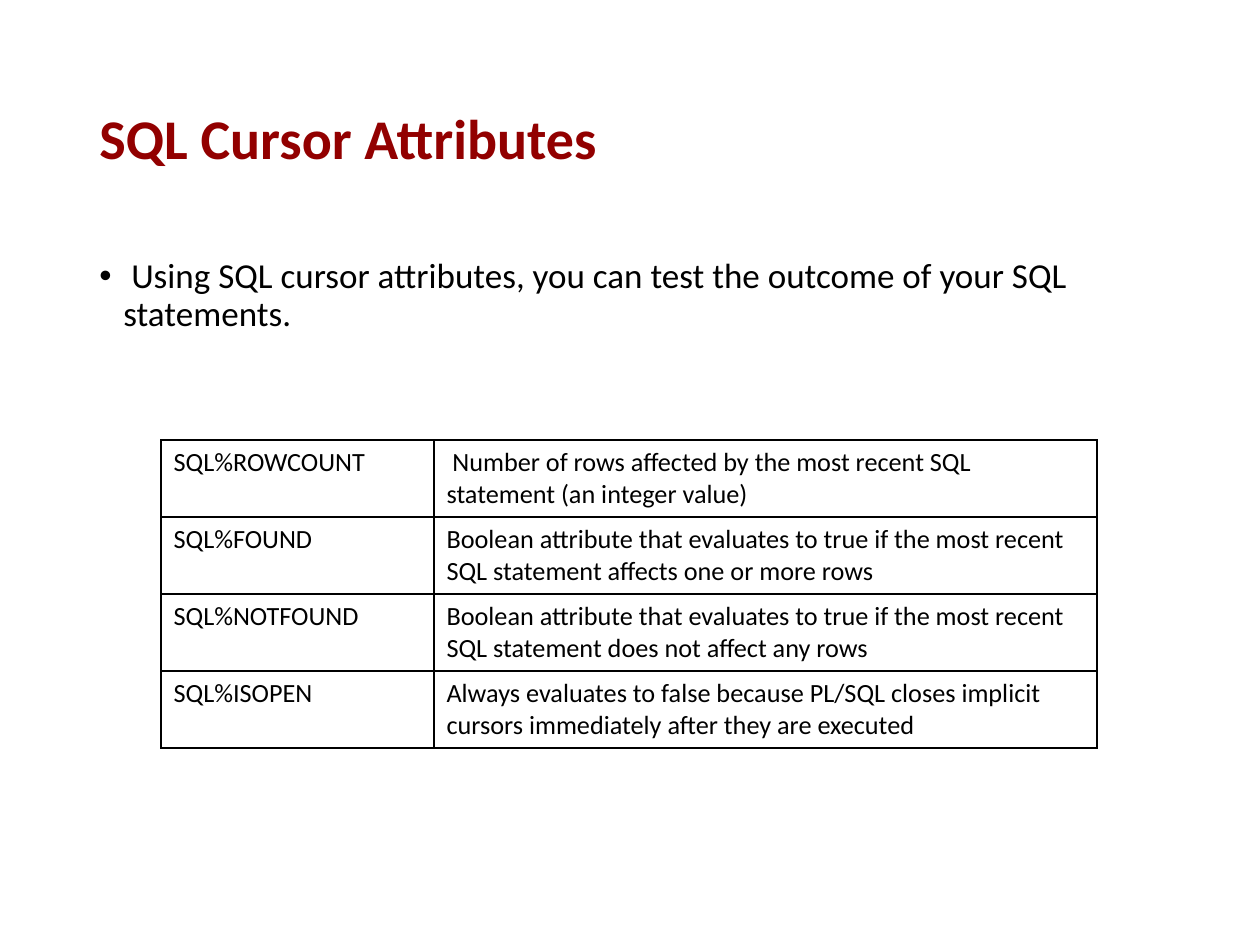
import dataclasses

import pptx
import pptx.dml.color
import pptx.enum.text
import pptx.oxml
import pptx.oxml.ns
import pptx.util

EMU_PER_PX = 914400 // 126


@dataclasses.dataclass(frozen=True)
class Theme:
    font: str = "Calibri"
    heading: str = "920000"
    ink: str = "000000"
    title_size: int = 32
    body_size: int = 20
    table_size: int = 15
    line_spacing: float = 0.9
    border_width: int = 1


THEME = Theme()

ATTRIBUTES = [
    ("SQL%ROWCOUNT",
     " Number of rows affected by the most recent SQL statement (an integer value)"),
    ("SQL%FOUND",
     "Boolean attribute that evaluates to true if the most recent SQL statement "
     "affects one or more rows"),
    ("SQL%NOTFOUND",
     "Boolean attribute that evaluates to true if the most recent SQL statement "
     "does not affect any rows"),
    ("SQL%ISOPEN",
     "Always evaluates to false because PL/SQL closes implicit cursors "
     "immediately after they are executed"),
]


def px(length):
    return pptx.util.Emu(length * EMU_PER_PX)


def set_font(para, size, color, bold=False):
    para.font.name = THEME.font
    para.font.size = pptx.util.Pt(size)
    para.font.bold = bold
    para.font.color.rgb = pptx.dml.color.RGBColor.from_string(color)


def add_text(slide, text, bounds, anchor):
    """Add a wrapping text box and return its only paragraph."""
    frame = slide.shapes.add_textbox(*map(px, bounds)).text_frame
    frame.word_wrap = True
    frame.vertical_anchor = anchor
    para = frame.paragraphs[0]
    para.text = text
    para.line_spacing = THEME.line_spacing
    return para


def add_bullet(para, indent):
    properties = para._p.get_or_add_pPr()
    properties.set("marL", str(px(indent)))
    properties.set("indent", str(px(-indent)))
    namespace = pptx.oxml.ns.nsdecls("a")
    properties.append(pptx.oxml.parse_xml(
        f'<a:buFont {namespace} typeface="Arial"/>'))
    properties.append(pptx.oxml.parse_xml(
        f'<a:buChar {namespace} char="•"/>'))


def add_borders(cell):
    """Draw all four edges; they must come before the fill in the cell."""
    namespace = pptx.oxml.ns.nsdecls("a")
    width = pptx.util.Pt(THEME.border_width)
    for position, edge in enumerate(("lnL", "lnR", "lnT", "lnB")):
        cell._tc.get_or_add_tcPr().insert(position, pptx.oxml.parse_xml(
            f'<a:{edge} {namespace} w="{width}"><a:solidFill>'
            f'<a:srgbClr val="{THEME.ink}"/></a:solidFill></a:{edge}>'))


def add_attribute_table(slide, left, top, column_widths, row_height):
    bounds = (left, top, sum(column_widths), row_height * len(ATTRIBUTES))
    table = slide.shapes.add_table(
        len(ATTRIBUTES), len(column_widths), *map(px, bounds)).table
    table.first_row = False
    table.horz_banding = False
    for column, width in zip(table.columns, column_widths):
        column.width = px(width)
    for row, texts in zip(table.rows, ATTRIBUTES):
        row.height = px(row_height)
        for cell, text in zip(row.cells, texts):
            cell.text = text
            cell.fill.background()
            add_borders(cell)
            set_font(cell.text_frame.paragraphs[0], THEME.table_size, THEME.ink)


def main():
    deck = pptx.Presentation()
    deck.slide_width, deck.slide_height = px(1260), px(945)
    slide = deck.slides.add_slide(deck.slide_layouts[6])

    anchors = pptx.enum.text.MSO_ANCHOR
    title = add_text(slide, "SQL Cursor Attributes", (87, 50, 1086, 183),
                     anchors.MIDDLE)
    set_font(title, THEME.title_size, THEME.heading, bold=True)

    body = add_text(
        slide,
        " Using SQL cursor attributes, you can test the outcome of your SQL statements.",
        (87, 252, 1086, 600), anchors.TOP)
    add_bullet(body, 24)
    set_font(body, THEME.body_size, THEME.ink)

    add_attribute_table(slide, 161, 440, (273, 663), 77)
    deck.save("out.pptx")


if __name__ == "__main__":
    main()
